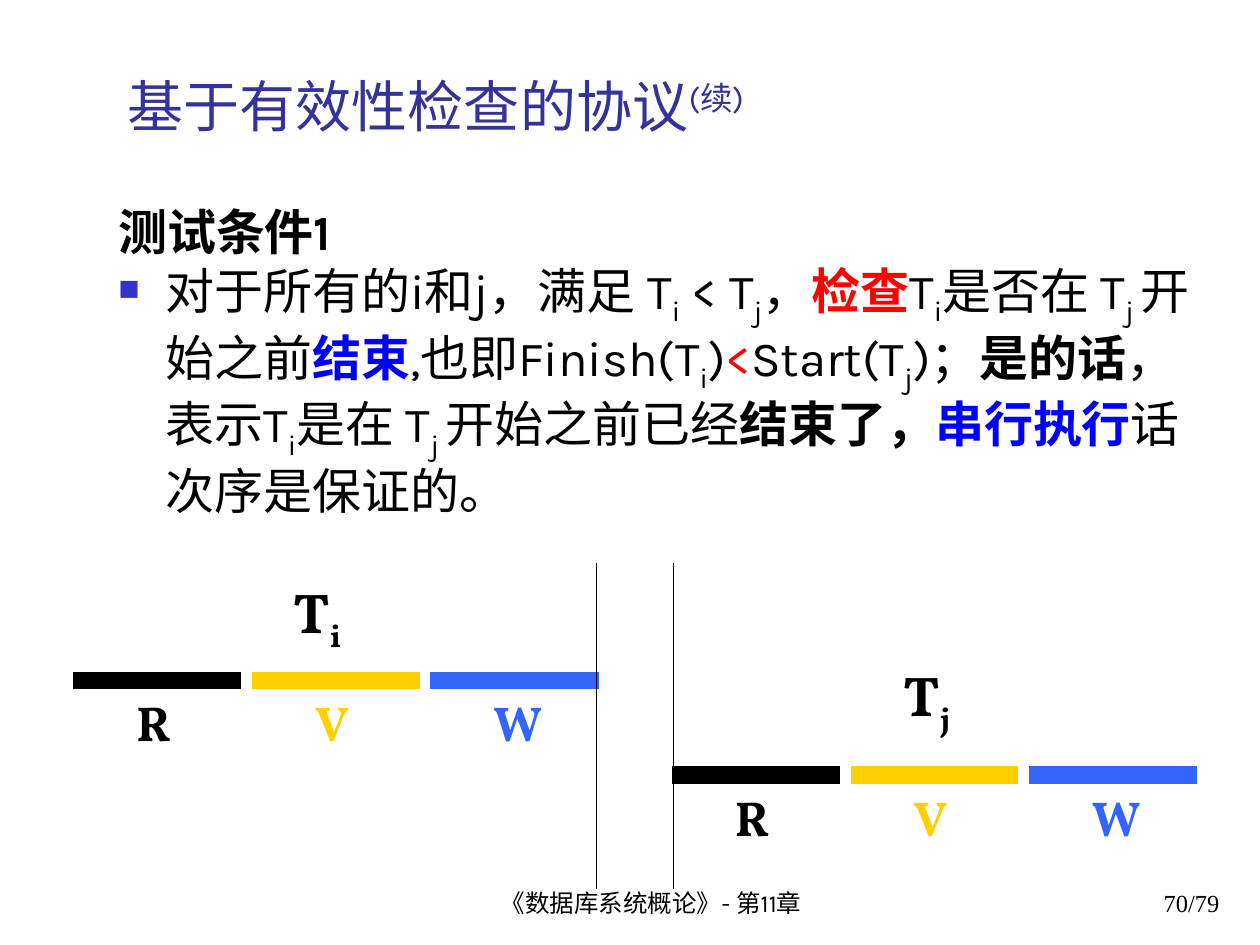
from dataclasses import dataclass

from lxml.etree import SubElement
from pptx import Presentation
from pptx.dml.color import RGBColor
from pptx.enum.shapes import MSO_CONNECTOR
from pptx.enum.text import MSO_ANCHOR, MSO_AUTO_SIZE, PP_ALIGN
from pptx.oxml.ns import qn
from pptx.util import Pt


@dataclass(frozen=True)
class Theme:
    title: str = "333399"
    ink: str = "000000"
    alert: str = "FF0000"
    accent: str = "0000FF"
    bullet: str = "3333CC"
    yellow: str = "FFCF01"
    blue: str = "3365FB"
    sans: str = "Karla"
    serif: str = "Vollkorn"
    page_font: str = "Times New Roman"
    large: float = 32
    body: float = 28
    small: float = 14


THEME = Theme()


@dataclass(frozen=True)
class Span:
    text: str
    color: str = THEME.ink
    bold: bool = False
    baseline: int = 0


@dataclass(frozen=True)
class Phase:
    name: str
    color: str
    label_width: float


@dataclass(frozen=True)
class Transaction:
    index: str
    left: float
    top: float
    name_left: float
    name_top: float


PHASES = [
    Phase("R", THEME.ink, 34.5),
    Phase("V", THEME.yellow, 36),
    Phase("W", THEME.blue, 42.5),
]
TRANSACTIONS = [
    Transaction("i", 42, 388.8, 160.5, 327),
    Transaction("j", 384, 442.8, 509, 374.5),
]
BAR_LENGTH, BAR_STEP, BAR_WEIGHT = 96, 102, 10


def subscript(text: str, bold: bool = False) -> Span:
    return Span(text, bold=bold, baseline=-25000)


def add_spans(para, spans: list[Span], font: str, size: float) -> None:
    for span in spans:
        run = para.add_run()
        run.text = span.text
        run.font.name = font
        run.font.size = Pt(size)
        run.font.bold = span.bold
        run.font.color.rgb = RGBColor.from_string(span.color)
        properties = run._r.get_or_add_rPr()
        SubElement(properties, qn("a:ea")).set("typeface", font)
        if span.baseline:
            properties.set("baseline", str(span.baseline))


def add_box(page, left: float, top: float, width: float, height: float,
            anchor=MSO_ANCHOR.TOP, wrap: bool = True):
    frame = page.shapes.add_textbox(Pt(left), Pt(top), Pt(width), Pt(height)).text_frame
    frame.word_wrap = wrap
    frame.vertical_anchor = anchor
    frame.auto_size = MSO_AUTO_SIZE.NONE if wrap else MSO_AUTO_SIZE.SHAPE_TO_FIT_TEXT
    return frame


def add_label(page, left: float, top: float, width: float, height: float,
              spans: list[Span], size: float) -> None:
    para = add_box(page, left, top, width, height, wrap=False).paragraphs[0]
    para.line_spacing = 0.9
    add_spans(para, spans, THEME.serif, size)


def add_line(page, start: tuple[float, float], end: tuple[float, float],
             color: str, weight: float) -> None:
    points = [Pt(value) for value in (*start, *end)]
    line = page.shapes.add_connector(MSO_CONNECTOR.STRAIGHT, *points)
    line.line.color.rgb = RGBColor.from_string(color)
    line.line.width = Pt(weight)
    SubElement(line._element.spPr, qn("a:effectLst"))


def add_bullet(para, color: str, indent: float) -> None:
    properties = para._p.get_or_add_pPr()
    properties.set("marL", str(Pt(indent)))
    properties.set("indent", str(-Pt(indent)))
    bullet_color = SubElement(properties, qn("a:buClr"))
    SubElement(bullet_color, qn("a:srgbClr")).set("val", color)
    SubElement(properties, qn("a:buSzPct")).set("val", "60000")
    SubElement(properties, qn("a:buChar")).set("char", "■")


def add_transaction(page, transaction: Transaction) -> None:
    name = [Span("T", bold=True), subscript(transaction.index, bold=True)]
    add_label(page, transaction.name_left, transaction.name_top, 43, 45.5, name, THEME.large)
    for number, phase in enumerate(PHASES):
        left, top = transaction.left + number * BAR_STEP, transaction.top
        add_line(page, (left, top), (left + BAR_LENGTH, top), phase.color, BAR_WEIGHT)
        add_label(page, left + 28.8, top + 7.2, phase.label_width, 41,
                  [Span(phase.name, phase.color, True)], THEME.body)


def add_footer(page, left: float, width: float, text: str, font: str, align) -> None:
    para = add_box(page, left, 491.8, width, 36, MSO_ANCHOR.BOTTOM).paragraphs[0]
    para.alignment = align
    add_spans(para, [Span(text)], font, THEME.small)


def main() -> None:
    deck = Presentation()
    deck.slide_width, deck.slide_height = Pt(720), Pt(540)
    page = deck.slides.add_slide(deck.slide_layouts[6])

    # Title
    title = add_box(page, 66, 30, 638, 60, MSO_ANCHOR.MIDDLE).paragraphs[0]
    add_spans(title, [Span("基于有效性检查的协议", THEME.title),
                      Span("(续)", THEME.title, baseline=30000)], THEME.sans, THEME.large)

    # Test condition
    body = add_box(page, 60.5, 111.5, 634.5, 209.5)
    add_spans(body.paragraphs[0], [Span("测试条件1", bold=True)], THEME.sans, THEME.body)
    condition = body.add_paragraph()
    add_bullet(condition, THEME.bullet, 27)
    add_spans(condition, [
        Span("对于所有的i和j，满足 T"), subscript("i"),
        Span(" < T"), subscript("j"), Span("，"),
        Span("检查", THEME.alert, True),
        Span("T"), subscript("i"), Span("是否在 T"), subscript("j "),
        Span("开始之前"), Span("结束", THEME.accent, True),
        Span(",也即Finish(T"), subscript("i"), Span(")"),
        Span("<", THEME.alert),
        Span("Start(T"), subscript("j"), Span(")；"),
        Span("是的话", bold=True),
        Span("，表示T"), subscript("i"), Span("是在 T"), subscript("j "),
        Span("开始之前已经"), Span("结束了，", bold=True),
        Span("串行执行", THEME.accent, True), Span("话次序是保证的。"),
    ], THEME.sans, THEME.body)

    # Timelines of the two transactions
    for transaction in TRANSACTIONS:
        add_transaction(page, transaction)

    # Finish of Ti and start of Tj
    for moment in (340.8, 385):
        add_line(page, (moment, 321.8), (moment, 508), THEME.ink, 0.75)

    # Footer
    add_footer(page, 258, 228, "《数据库系统概论》- 第11章", THEME.sans, PP_ALIGN.CENTER)
    add_footer(page, 554, 150, "70/79", THEME.page_font, PP_ALIGN.RIGHT)

    deck.save("out.pptx")


if __name__ == "__main__":
    main()
